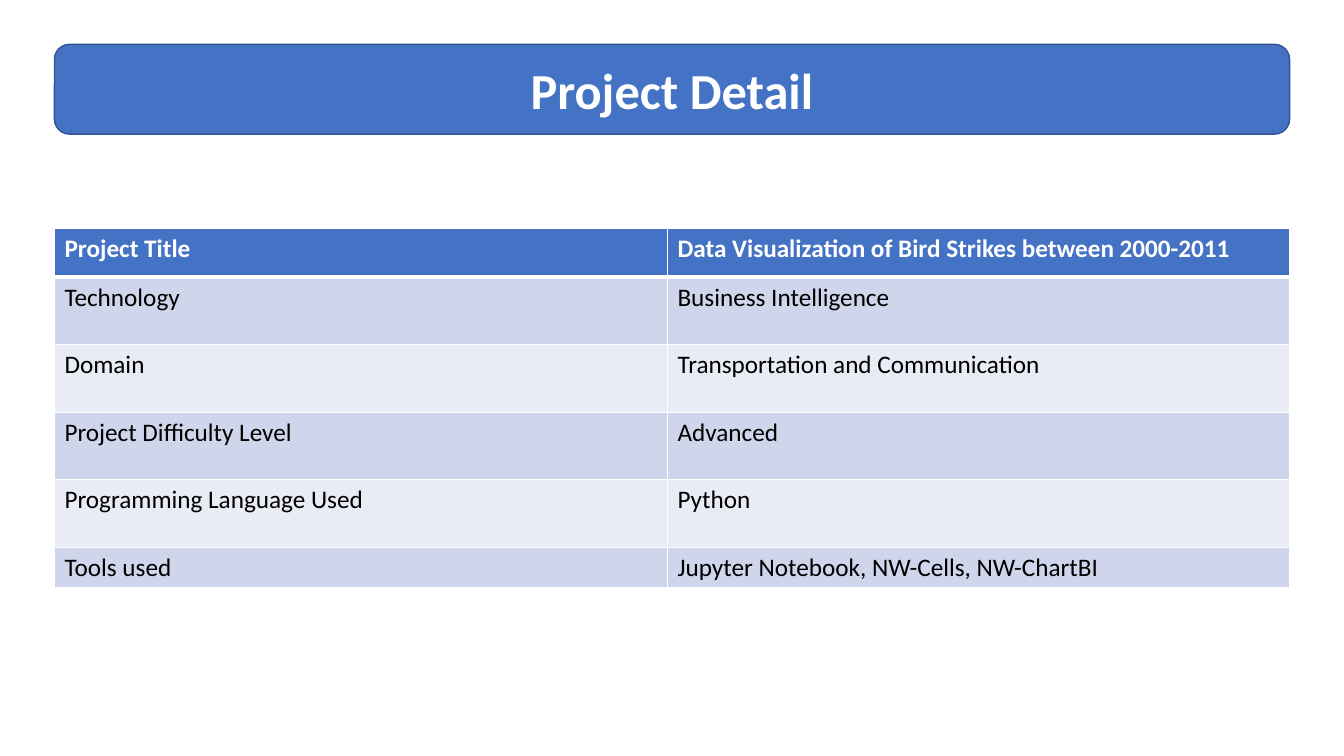
from lxml import etree
from pptx import Presentation, util as u
from pptx.dml.color import RGBColor
from pptx.enum import shapes, text
from pptx.oxml.ns import qn

COLORS = {"blue": "4472C4", "outline": "325491", "white": "FFFFFF",
          "black": "000000", "band_dark": "CFD5EA", "band_light": "E9EBF5"}
ROWS = [
    ("Project Title", "Data Visualization of Bird Strikes between 2000-2011"),
    ("Technology", "Business Intelligence"),
    ("Domain", "Transportation and Communication"),
    ("Project Difficulty Level", "Advanced"),
    ("Programming Language Used", "Python"),
    ("Tools used", "Jupyter Notebook, NW-Cells, NW-ChartBI"),
]


class SlideBuilder:
    def __init__(self, slide, font="Calibri"):
        self.s = slide
        self.font = font

    def color(self, name):
        return RGBColor.from_string(COLORS[name])

    def format_text(self, p, size, color, bold):
        for r in p.runs:
            r.font.name = self.font
            r.font.size = u.Pt(size)
            r.font.bold = bold
            r.font.color.rgb = self.color(color)

    def banner_title(self, title, *box):
        box = [u.Inches(v) for v in box]
        sp = self.s.shapes.add_shape(shapes.MSO_SHAPE.ROUNDED_RECTANGLE, *box)
        sp.shadow.inherit = False
        sp.fill.solid()
        sp.fill.fore_color.rgb = self.color("blue")
        sp.line.color.rgb = self.color("outline")
        sp.line.width = u.Pt(1)

        # The title lies on top of the banner
        holder = self.s.shapes.title
        holder.element.addprevious(sp.element)
        holder.left, holder.top, holder.width, holder.height = box
        tf = holder.text_frame
        tf.text = title
        tf.vertical_anchor = text.MSO_ANCHOR.MIDDLE
        p = tf.paragraphs[0]
        p.alignment = text.PP_ALIGN.CENTER
        self.format_text(p, 36, "white", True)

    def borders(self, cell, top, bottom):
        tcPr = cell._tc.get_or_add_tcPr()
        for side, width in (("L", 1), ("R", 1), ("T", top), ("B", bottom)):
            ln = etree.SubElement(tcPr, qn(f"a:ln{side}"), w=str(u.Pt(width)))
            fill = etree.SubElement(ln, qn("a:solidFill"))
            etree.SubElement(fill, qn("a:srgbClr"), val=COLORS["white"])

    def table(self, rows, left, top, widths, heights):
        frame = self.s.shapes.add_table(
            len(rows), len(widths), u.Inches(left), u.Inches(top),
            u.Inches(sum(widths)), u.Inches(sum(heights)))
        tbl = frame.table
        for col, width in zip(tbl.columns, widths):
            col.width = u.Inches(width)
        for i, values in enumerate(rows):
            tbl.rows[i].height = u.Inches(heights[i])
            header = i == 0
            band = "blue" if header else "band_dark" if i % 2 else "band_light"
            for j, value in enumerate(values):
                cell = tbl.cell(i, j)
                self.borders(cell, 3 if i == 1 else 1, 3 if header else 1)
                cell.fill.solid()
                cell.fill.fore_color.rgb = self.color(band)
                cell.text_frame.text = value
                self.format_text(cell.text_frame.paragraphs[0], 18,
                                 "white" if header else "black", header)


def main():
    prs = Presentation()
    prs.slide_width, prs.slide_height = u.Inches(13.33), u.Inches(7.5)
    slide = SlideBuilder(prs.slides.add_slide(prs.slide_layouts[5]))

    # Title banner
    slide.banner_title("Project Detail", 0.54, 0.44, 12.25, 0.89)

    # Project facts
    slide.table(ROWS, 0.54, 2.27, widths=[6.08, 6.17],
                heights=[0.48] + [0.67] * 4 + [0.4])

    prs.save("out.pptx")


if __name__ == "__main__":
    main()
